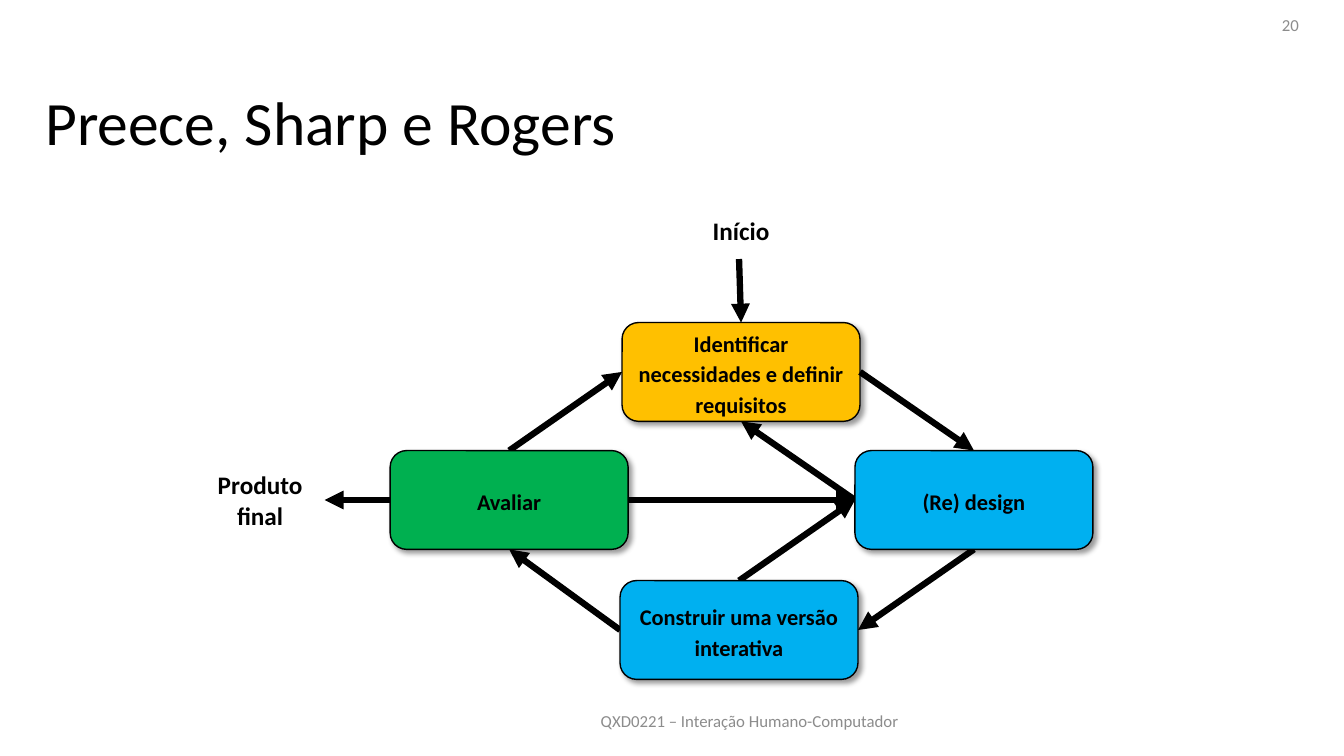
from pptx import Presentation, util as u
from pptx.dml.color import RGBColor
from pptx.enum import shapes, text
from pptx.oxml import parse_xml
from pptx.oxml.ns import nsdecls, qn

PX = 9144
THEME = {
    "font": "Calibri",
    "black": "000000", "gray": "8C8C8C",
    "amber": "FFC000", "blue": "00B0F0", "green": "00B050",
    "title": 44, "label": 18, "box": 16, "small": 12,
}
TOP, LEFT, BOTTOM, RIGHT = range(4)
BOX_W, BOX_H = 236, 98
ALIGN = text.PP_ALIGN
MIDDLE, UPPER = text.MSO_ANCHOR.MIDDLE, text.MSO_ANCHOR.TOP


def write(sp, words, size, color="black", bold=False, align=ALIGN.CENTER,
          anchor=MIDDLE, spacing=None, after=None):
    tf = sp.text_frame
    tf.word_wrap = True
    tf.vertical_anchor = anchor
    p = tf.paragraphs[0]
    p.alignment = align
    p.line_spacing = spacing
    p.space_after = after
    r = p.add_run()
    r.text = words
    r.font.name = THEME["font"]
    r.font.size = u.Pt(THEME[size])
    r.font.bold = bold
    r.font.color.rgb = RGBColor.from_string(THEME[color])


prs = Presentation()
prs.slide_width, prs.slide_height = 1333 * PX, 750 * PX
s = prs.slides.add_slide(prs.slide_layouts[6])

label = dict(size="label", bold=True, anchor=UPPER)
small = dict(size="small", color="gray")
texts = [
    ("Preece, Sharp e Rogers", (35, 65, 1261, 120),
     dict(size="title", align=ALIGN.LEFT, spacing=0.9)),
    ("QXD0221 – Interação Humano-Computador", (349, 695, 789, 40), small),
    ("20", (998, 5, 300, 40), dict(small, align=ALIGN.RIGHT)),
    ("Produto final", (195, 461, 126, 71), label),
    ("Início", (672, 209, 126, 40), label),
]
for words, place, style in texts:
    sp = s.shapes.add_textbox(*(n * PX for n in place))
    write(sp, words, **style)

steps = [
    ("requisitos", "Identificar necessidades e definir requisitos", 617, 320, "amber"),
    ("design", "(Re) design", 848, 447, "blue"),
    ("avaliar", "Avaliar", 387, 447, "green"),
    ("construir", "Construir uma versão interativa", 615, 576, "blue"),
]
boxes = {}
for key, words, x, y, color in steps:
    sp = s.shapes.add_shape(shapes.MSO_SHAPE.ROUNDED_RECTANGLE,
                            x * PX, y * PX, BOX_W * PX, BOX_H * PX)
    sp.fill.solid()
    sp.fill.fore_color.rgb = RGBColor.from_string(THEME[color])
    sp.line.color.rgb = RGBColor.from_string(THEME["black"])
    sp.line.width = u.Pt(1)
    sp.shadow.inherit = False
    sp.element.spPr.find(qn("a:effectLst")).append(parse_xml(
        f'<a:outerShdw {nsdecls("a")} blurRad="{u.Pt(4)}" dist="{u.Pt(3)}" '
        f'dir="2700000" algn="tl" rotWithShape="0"><a:srgbClr val="{THEME["black"]}">'
        '<a:alpha val="40000"/></a:srgbClr></a:outerShdw>'))
    write(sp, words, "box", bold=True, spacing=1.15, after=u.Pt(10))
    boxes[key] = sp

start, product = (733, 257), (322, 496)
arrows = [
    (start, ("requisitos", TOP)),
    (("requisitos", RIGHT), ("design", TOP)),
    (("design", BOTTOM), ("construir", RIGHT)),
    (("construir", LEFT), ("avaliar", BOTTOM)),
    (("avaliar", TOP), ("requisitos", LEFT)),
    (("avaliar", RIGHT), ("design", LEFT)),
    (("construir", TOP), ("design", LEFT)),
    (("design", LEFT), ("requisitos", BOTTOM)),
    (("avaliar", LEFT), product),
]
for begin, end in arrows:
    free = [n * PX for n in (start if begin == start else product)]
    cn = s.shapes.add_connector(shapes.MSO_CONNECTOR.STRAIGHT, *free, *free)
    if begin != start:
        cn.begin_connect(boxes[begin[0]], begin[1])
    if end != product:
        cn.end_connect(boxes[end[0]], end[1])
    cn.line.color.rgb = RGBColor.from_string(THEME["black"])
    cn.line.width = u.Pt(4.5)
    spPr = cn.element.spPr
    spPr.find(qn("a:ln")).append(parse_xml(f'<a:tailEnd {nsdecls("a")} type="triangle"/>'))
    spPr.append(parse_xml(f'<a:effectLst {nsdecls("a")}/>'))

for key in ("design", "avaliar", "construir"):
    el = boxes[key].element
    el.getparent().append(el)

prs.save("out.pptx")
